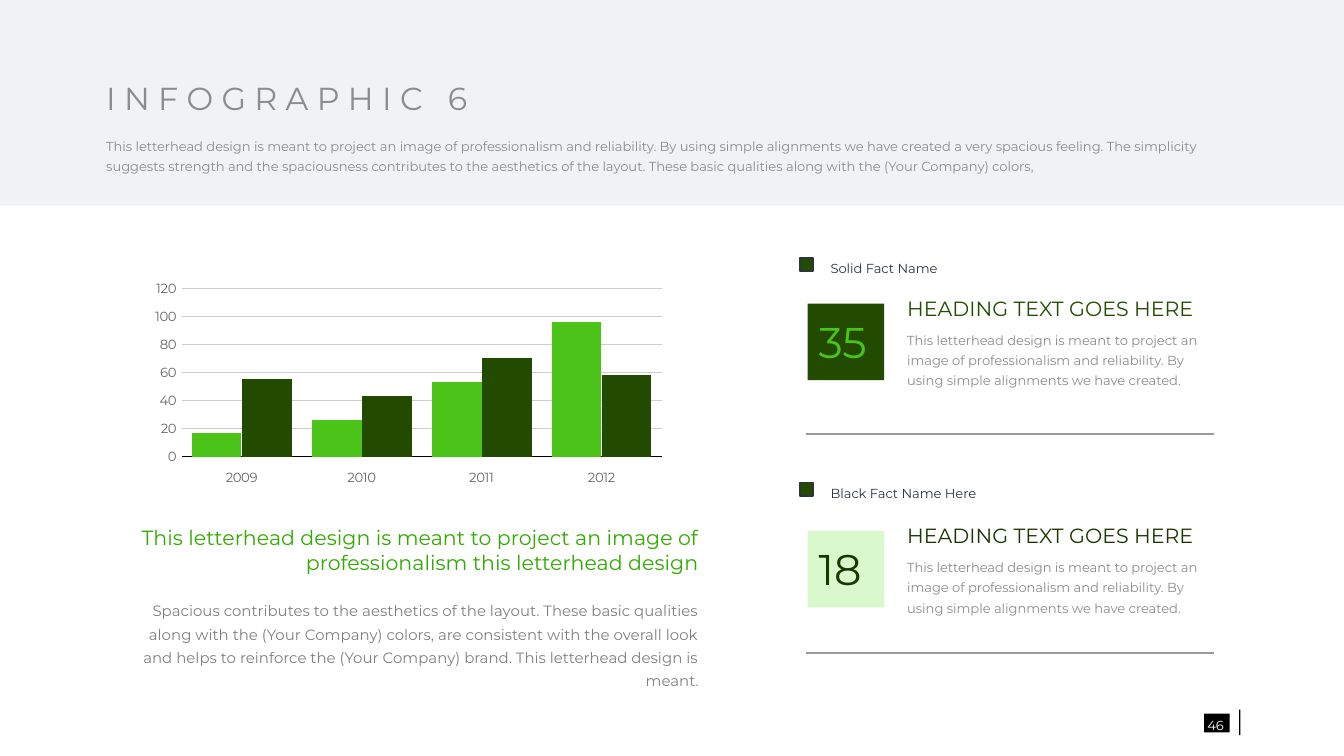
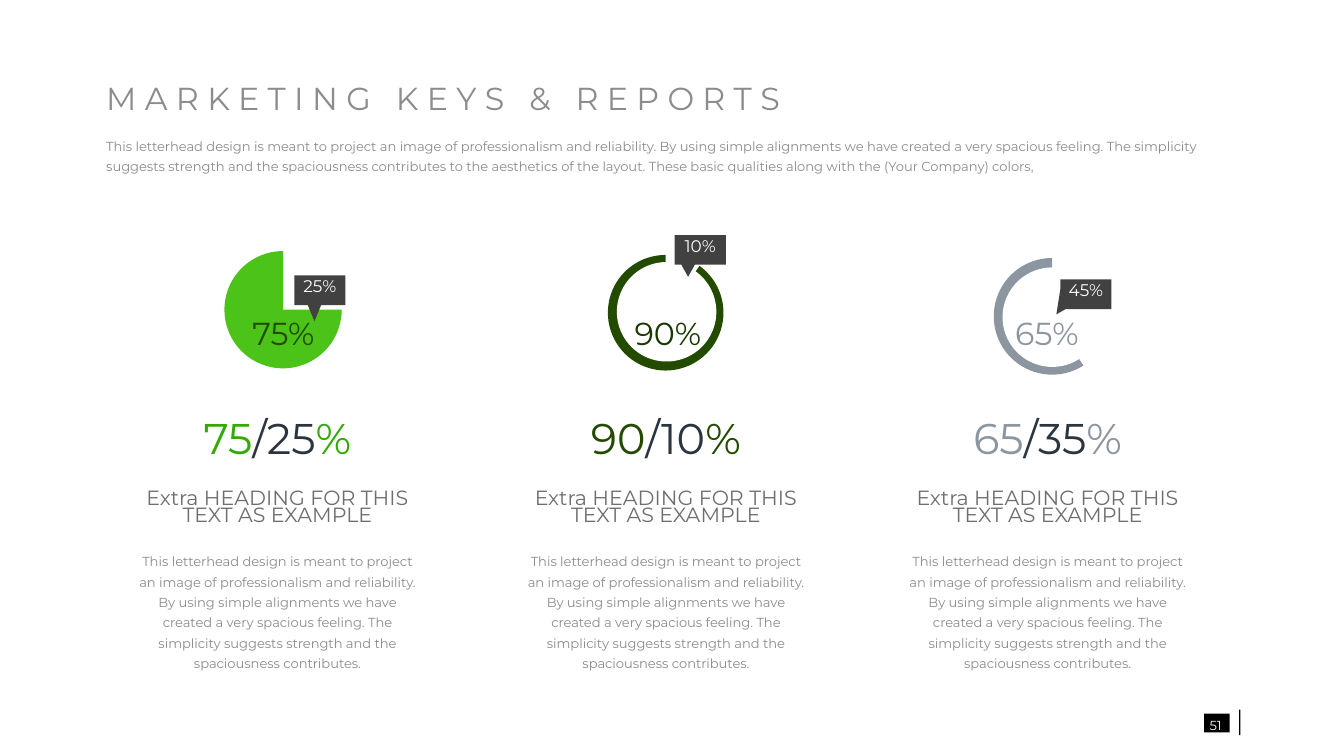
from lxml import etree
from pptx import Presentation
from pptx.chart.data import CategoryChartData
from pptx.dml.color import RGBColor
from pptx.enum import chart as charts, shapes, text
from pptx.oxml.ns import qn
from pptx.util import Inches, Pt

FONT, CHART_FONT = "Montserrat", "Cabin"
WHITE = RGBColor(0xFF, 0xFF, 0xFF)
BLACK = RGBColor(0, 0, 0)
BAND = RGBColor(0xDA, 0xDF, 0xE3)
GRAY = RGBColor(0x8C, 0x8C, 0x8C)
BODY_GRAY = RGBColor(0x80, 0x80, 0x80)
HEADING_GRAY = RGBColor(0x6E, 0x6E, 0x6E)
AXIS_GRAY = RGBColor(0x67, 0x67, 0x67)
GRID_GRAY = RGBColor(0xCD, 0xCD, 0xCD)
RULE_GRAY = RGBColor(0x9B, 0x9B, 0x9B)
CALLOUT = RGBColor(0x41, 0x41, 0x41)
SLATE = RGBColor(0x2B, 0x35, 0x3F)
STEEL = RGBColor(0x8C, 0x96, 0xA0)
LIME = RGBColor(0x4B, 0xC3, 0x19)
GREEN = RGBColor(0x32, 0xAA, 0x00)
FOREST = RGBColor(0x23, 0x4B, 0x00)
DEEP = RGBColor(0x19, 0x37, 0x00)
PALE = RGBColor(0xD9, 0xF8, 0xCC)

LEFT, CENTER, RIGHT = text.PP_ALIGN.LEFT, text.PP_ALIGN.CENTER, text.PP_ALIGN.RIGHT
TOP, MIDDLE = text.MSO_ANCHOR.TOP, text.MSO_ANCHOR.MIDDLE
RECTANGLE, OVAL = shapes.MSO_SHAPE.RECTANGLE, shapes.MSO_SHAPE.OVAL

INTRO = (
    "This letterhead design is meant to project an image of professionalism and "
    "reliability. By using simple alignments we have created a very spacious feeling. "
    "The simplicity suggests strength and the spaciousness contributes to the aesthetics "
    "of the layout. These basic qualities along with the (Your Company) colors,"
)

YEARS = ["2009", "2010", "2011", "2012"]
YEAR_SERIES = [
    ("Series 1", (17, 26, 53, 96), LIME),
    ("Series 2", (55, 43, 70, 58), FOREST),
]
CHART_HEADING = (
    "This letterhead design is meant to project an image of professionalism "
    "this letterhead design"
)
CHART_BODY = (
    "Spacious contributes to the aesthetics of the layout. These basic qualities along "
    "with the (Your Company) colors, are consistent with the overall look and helps to "
    "reinforce the (Your Company) brand. This letterhead design is meant."
)
FACT_HEADING = "HEADING TEXT GOES HERE"
FACT_BODY = (
    "This letterhead design is meant to project an image of professionalism and "
    "reliability. By using simple alignments we have created."
)
FACTS = [
    dict(name="Solid Fact Name", name_width=0.85, number="35", tile=FOREST,
         number_color=LIME, heading_color=FOREST, rule_top=3.23),
    dict(name="Black Fact Name Here", name_width=1.15, number="18", tile=PALE,
         number_color=DEEP, heading_color=DEEP, rule_top=4.86),
]
# The label row and the card below it step down by slightly different amounts.
LABEL_TOP, LABEL_PITCH = 1.9, 1.67
CARD_TOP, CARD_PITCH = 2.15, 1.69

REPORT_HEADING = ["Extra HEADING FOR THIS", "TEXT AS EXAMPLE"]
REPORT_BODY = (
    "This letterhead design is meant to project an image of professionalism and "
    "reliability. By using simple alignments we have created a very spacious feeling. "
    "The simplicity suggests strength and the spaciousness contributes."
)
# A callout's tail is measured from the top left corner of its body.
REPORTS = [
    dict(left=1.01, ratio=("75", "/25"), ratio_color=GREEN, values=(25, 75), color=LIME,
         pie=(1.6, 1.33, 1.01, 1.5), plot=(0.069, 0.304, 0.865, 0.7), hole=None,
         share="75%", share_left=1.81, share_color=FOREST, tag="25%", tag_at=(2.19, 2.05),
         tail=[(0, 0.22), (0.1, 0.22), (0.15, 0.34), (0.2, 0.22)]),
    dict(left=3.9, ratio=("90", "/10"), ratio_color=FOREST, values=(10, 90), color=FOREST,
         pie=(4.45, 1.36, 1, 1.49), plot=(0.073, 0.302, 0.861, 0.701), hole=(4.59, 1.95),
         share="90%", share_left=4.67, share_color=DEEP, tag="10%", tag_at=(5.02, 1.75),
         tail=[(0, 0.22), (0.05, 0.22), (0.1, 0.31), (0.15, 0.22)]),
    dict(left=6.74, ratio=("65", "/35"), ratio_color=STEEL, values=(41, 59), color=STEEL,
         pie=(7.1, 0.92, 1.45, 2.21), plot=(0.203, 0.301, 0.599, 0.702), hole=(7.46, 1.99),
         share="65%", share_left=7.49, share_color=STEEL, tag="45%", tag_at=(7.89, 2.08),
         tail=[(0, 0.07), (-0.03, 0.26), (0.04, 0.22)]),
]
COLUMN_WIDTH = 2.11
HOLE_SIZE = 0.74
TAG_WIDTH, TAG_HEIGHT = 0.38, 0.22


def inches(values):
    return [Inches(value) for value in values]


def paint(shape, color, line=None):
    shape.shadow.inherit = False
    shape.fill.solid()
    shape.fill.fore_color.rgb = color
    if line is None:
        shape.line.fill.background()
    else:
        shape.line.color.rgb = line
        shape.line.width = Pt(1)
    return shape


def add_block(page, at, color, kind=RECTANGLE, line=None):
    return paint(page.shapes.add_shape(kind, *inches(at)), color, line)


def add_text(page, at, lines, size, color, align=LEFT, spacing=1.0, anchor=MIDDLE):
    """Each line is a string or a list of (string, colour) spans."""
    box = page.shapes.add_textbox(*inches(at))
    frame = box.text_frame
    frame.word_wrap = True
    frame.vertical_anchor = anchor
    frame.margin_left = frame.margin_top = frame.margin_right = frame.margin_bottom = 0
    for index, line in enumerate([lines] if isinstance(lines, str) else lines):
        para = frame.add_paragraph() if index else frame.paragraphs[0]
        para.alignment = align
        para.line_spacing = spacing
        for words, span_color in [(line, color)] if isinstance(line, str) else line:
            span = para.add_run()
            span.text = words
            span.font.name = FONT
            span.font.size = Pt(size)
            span.font.color.rgb = span_color


def add_rule(page, left, right, top):
    rule = page.shapes.add_connector(
        shapes.MSO_CONNECTOR.STRAIGHT, *inches((left, top, right, top)))
    rule.line.color.rgb = RULE_GRAY
    rule.line.width = Pt(1)
    etree.SubElement(rule._element.spPr, qn("a:effectLst"))


def add_chart(page, kind, at, categories, series, plot_area, size):
    data = CategoryChartData()
    data.categories = categories
    for name, values in series:
        data.add_series(name, values)
    chart = page.shapes.add_chart(kind, *inches(at), data).chart
    chart.has_legend = chart.has_title = False
    chart.font.name = CHART_FONT
    chart.font.size = Pt(size)
    chart.font.color.rgb = BLACK
    place_plot(chart, plot_area)
    return chart


def place_plot(chart, plot_area):
    """Fix the inner plot area, given as fractions of the chart."""
    area = chart._chartSpace.chart.plotArea
    for old in area.findall(qn("c:layout")):
        area.remove(old)
    layout = etree.Element(qn("c:layout"))
    area.insert(0, layout)
    manual = etree.SubElement(layout, qn("c:manualLayout"))
    settings = [("layoutTarget", "inner"), ("xMode", "edge"), ("yMode", "edge")]
    settings += zip("xywh", plot_area)
    for tag, value in settings:
        etree.SubElement(manual, qn("c:" + tag)).set("val", str(value))


def add_year_chart(page):
    chart = add_chart(
        page, charts.XL_CHART_TYPE.COLUMN_CLUSTERED, (0.91, 1.77, 4.12, 1.87), YEARS,
        [(name, values) for name, values, _ in YEAR_SERIES],
        (0.107, 0.2, 0.867, 0.671), 12.1)
    plot = chart.plots[0]
    plot.gap_width = 40
    plot.overlap = 0
    plot.vary_by_categories = False
    for series, (_, _, color) in zip(plot.series, YEAR_SERIES):
        series.format.fill.solid()
        series.format.fill.fore_color.rgb = color
    years, amounts = chart.category_axis, chart.value_axis
    for axis in (years, amounts):
        axis.major_tick_mark = axis.minor_tick_mark = charts.XL_TICK_MARK.NONE
        font = axis.tick_labels.font
        font.name, font.size = FONT, Pt(7.1)
        font.color.rgb = AXIS_GRAY
    years.tick_label_position = charts.XL_TICK_LABEL_POSITION.LOW
    amounts.minimum_scale, amounts.maximum_scale, amounts.major_unit = 0, 120, 20
    amounts.format.line.fill.background()
    for line, color in ((years.format.line, BLACK),
                        (amounts.major_gridlines.format.line, GRID_GRAY)):
        line.color.rgb = color
        line.width = Pt(0.36)


def add_pie(page, report):
    chart = add_chart(page, charts.XL_CHART_TYPE.PIE, report["pie"], ["1", "2"],
                      [("Series 1", report["values"])], report["plot"], 12)
    chart.plots[0].vary_by_categories = False
    series = chart.plots[0].series[0]
    series.format.fill.background()
    series.format.line.fill.background()
    rest, share = series.points[0].format, series.points[1].format
    rest.fill.background()
    share.fill.solid()
    share.fill.fore_color.rgb = report["color"]
    for part in (rest, share):
        part.line.fill.background()
    if report["hole"]:
        add_block(page, (*report["hole"], HOLE_SIZE, HOLE_SIZE), WHITE, OVAL)


def add_callout(page, report):
    left, top = report["tag_at"]
    outline = report["tail"] + [(TAG_WIDTH, TAG_HEIGHT), (TAG_WIDTH, 0), (0, 0)]
    points = [inches((left + x, top + y)) for x, y in outline]
    builder = page.shapes.build_freeform(*points[0])
    builder.add_line_segments(points[1:], close=True)
    paint(builder.convert_to_shape(), CALLOUT)
    add_text(page, (left + 0.02, top + 0.01, 0.34, 0.17), report["tag"], 9, WHITE, CENTER, 0.7)


def add_header(page, title, width):
    add_text(page, (0.79, 0.6, width, 0.33), " ".join(title), 17, GRAY, spacing=0.7)
    add_text(page, (0.79, 0.99, 8.31, 0.31), INTRO, 7, GRAY, spacing=1.3)


def add_page_number(page, number):
    add_block(page, (8.96, 5.31, 0.19, 0.14), BLACK)
    add_text(page, (8.93, 5.3, 0.23, 0.16), number, 7, WHITE, CENTER, 1.3)
    add_block(page, (9.22, 5.28, 0.01, 0.19), BLACK)


def add_fact(page, fact, label_top, card_top):
    add_block(page, (5.95, label_top + 0.02, 0.1, 0.1), FOREST, line=SLATE)
    add_text(page, (6.18, label_top, fact["name_width"], 0.16), fact["name"], 7, SLATE,
             spacing=1.3)
    add_text(page, (6.75, card_top, 2.24, 0.32), FACT_HEADING, 11,
             fact["heading_color"], spacing=0.8)
    add_text(page, (6.75, card_top + 0.28, 2.24, 0.47), FACT_BODY, 7, GRAY, spacing=1.3)
    add_block(page, (6.01, card_top + 0.11, 0.57, 0.57), fact["tile"])
    add_text(page, (6.09, card_top + 0.18, 0.42, 0.42), fact["number"], 23,
             fact["number_color"])
    add_rule(page, 6, 9.03, fact["rule_top"])


def add_report_text(page, report):
    left, color = report["left"], report["ratio_color"]
    add_text(page, (report["share_left"], 2.34, 0.6, 0.34), report["share"], 17,
             report["share_color"], CENTER, 0.7)
    share, rest = report["ratio"]
    ratio = [(share, color), (rest, SLATE), ("%", color)]
    add_text(page, (left, 3.11, COLUMN_WIDTH, 0.39), [ratio], 23, color, CENTER, 0.7)
    add_text(page, (left, 3.6, COLUMN_WIDTH, 0.37), REPORT_HEADING, 11, HEADING_GRAY,
             CENTER, 0.7)
    add_text(page, (left, 4.09, COLUMN_WIDTH, 0.9), REPORT_BODY, 7, GRAY, CENTER, 1.3)


def build_infographic(page):
    band = add_block(page, (-0.04, -0.02, 10.07, 1.55), BAND)
    tint = band._element.spPr.find(qn("a:solidFill"))[0]
    etree.SubElement(tint, qn("a:alpha")).set("val", "40000")
    add_year_chart(page)
    add_header(page, "INFOGRAPHIC 6", 4.41)
    add_text(page, (1.04, 3.91, 4.16, 0.47), CHART_HEADING, 11, GREEN, RIGHT, anchor=TOP)
    add_text(page, (1.04, 4.44, 4.16, 0.56), CHART_BODY, 8, BODY_GRAY, RIGHT, 1.3, TOP)
    for index, fact in enumerate(FACTS):
        add_fact(page, fact, LABEL_TOP + index * LABEL_PITCH, CARD_TOP + index * CARD_PITCH)
    add_page_number(page, "46")


def build_reports(page):
    add_header(page, "MARKETING KEYS & REPORTS", 5.15)
    for add_part in (add_pie, add_callout, add_report_text):
        for report in REPORTS:
            add_part(page, report)
    add_page_number(page, "51")


def main():
    deck = Presentation()
    deck.slide_width = Inches(10)
    deck.slide_height = deck.slide_width * 9 // 16
    blank = deck.slide_layouts[6]
    for build in (build_infographic, build_reports):
        build(deck.slides.add_slide(blank))
    deck.save("out.pptx")


if __name__ == "__main__":
    main()
